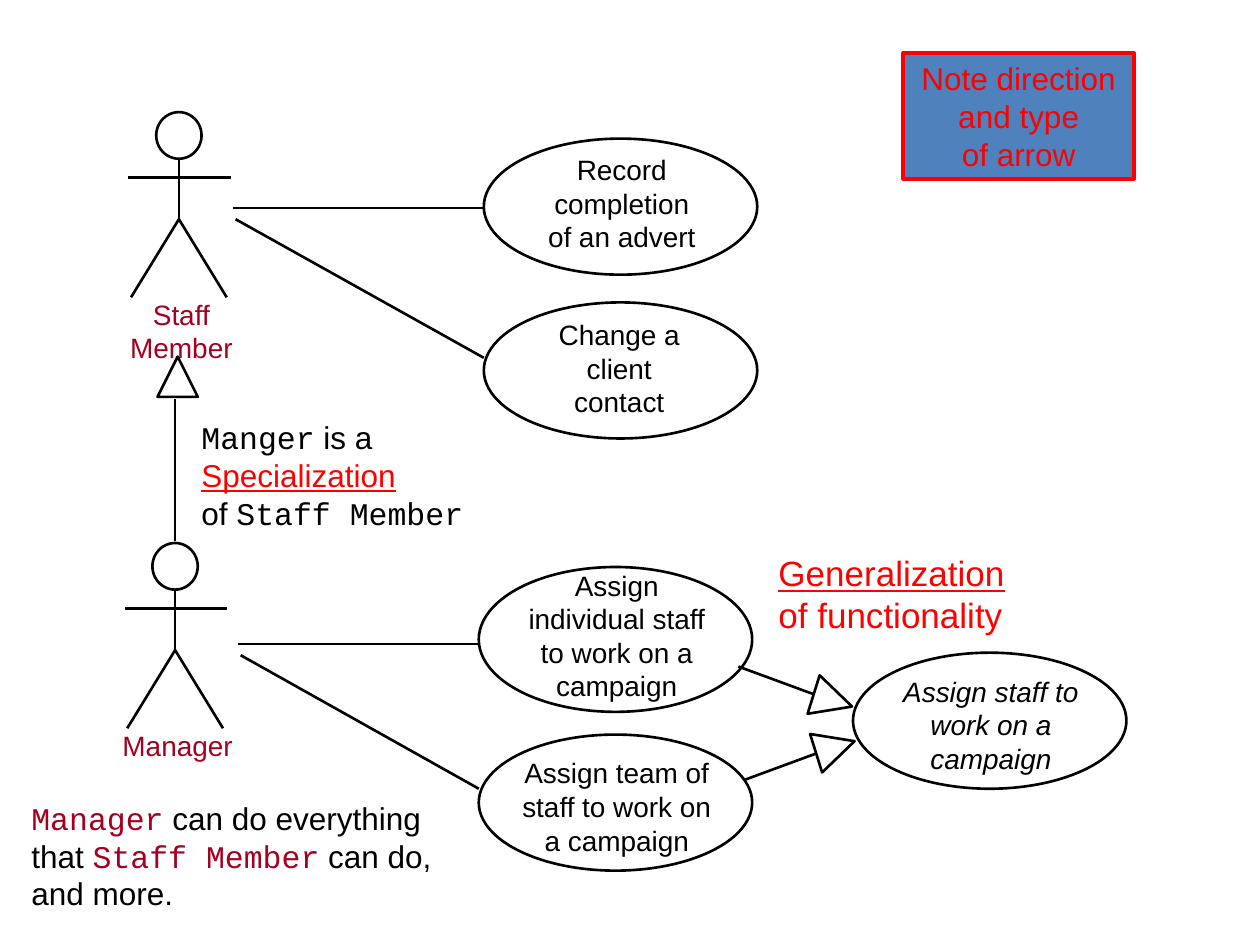
from lxml.etree import SubElement
from pptx import Presentation
from pptx.dml.color import RGBColor
from pptx.enum.shapes import MSO_CONNECTOR as CONN, MSO_SHAPE as SHAPE
from pptx.enum.text import MSO_ANCHOR as ANCHOR, MSO_AUTO_SIZE as AUTO, PP_ALIGN as ALIGN
from pptx.oxml.ns import qn
from pptx.util import Inches, Pt

BLACK = RGBColor(0x00, 0x00, 0x00)
WHITE = RGBColor(0xFF, 0xFF, 0xFF)
RED = RGBColor(0xFF, 0x00, 0x00)
MAROON = RGBColor(0xA5, 0x00, 0x21)
BLUE = RGBColor(0x4F, 0x81, 0xBD)
MONO = {"name": "Courier New"}
MONO_MAROON = {"name": "Courier New", "color": MAROON}
OVAL_W, OVAL_H = 2.17, 1.08
TIP = 0.32


def add_line(s, x1, y1, x2, y2):
    """Draw a plain black line without a shadow."""
    line = s.shapes.add_connector(CONN.STRAIGHT, Inches(x1), Inches(y1), Inches(x2), Inches(y2))
    line.line.color.rgb = BLACK
    line.line.width = Pt(1.5)
    SubElement(line._element.spPr, qn("a:effectLst"))


def add_figure(s, kind, x, y, w, h, fill=WHITE, color=BLACK, width=1.5, rotation=0):
    """Draw an outlined preset shape."""
    sp = s.shapes.add_shape(kind, Inches(x), Inches(y), Inches(w), Inches(h))
    sp.shadow.inherit = False
    sp.fill.solid()
    sp.fill.fore_color.rgb = fill
    sp.line.color.rgb = color
    sp.line.width = Pt(width)
    sp.rotation = rotation
    return sp


def add_runs(tf, paragraphs, align=ALIGN.LEFT, **base):
    """Write paragraphs of (text, format) runs; a vertical tab breaks the line."""
    for i, runs in enumerate(paragraphs):
        p = tf.paragraphs[0] if i == 0 else tf.add_paragraph()
        p.alignment = align
        for text, extra in runs:
            for j, part in enumerate(text.split("\v")):
                if j:
                    p.add_line_break()
                r = p.add_run()
                r.text = part
                values = {"name": "Arial", "color": BLACK, **base, **extra}
                r.font.color.rgb = values.pop("color")
                for key, value in values.items():
                    setattr(r.font, key, value)


def add_label(s, x, y, w, h, *lines, **fmt):
    """Add centred 16 point text in a box without margins."""
    tf = s.shapes.add_textbox(Inches(x), Inches(y), Inches(w), Inches(h)).text_frame
    tf.word_wrap = True
    for side in ("left", "top", "right", "bottom"):
        setattr(tf, f"margin_{side}", 0)
    add_runs(tf, [[(line, {})] for line in lines], ALIGN.CENTER, size=Pt(16), **fmt)


def add_note(s, x, y, w, h, paragraphs, wrap=False, **fmt):
    """Add a left-aligned remark that grows with its text."""
    tf = s.shapes.add_textbox(Inches(x), Inches(y), Inches(w), Inches(h)).text_frame
    tf.word_wrap = wrap
    tf.auto_size = AUTO.SHAPE_TO_FIT_TEXT
    add_runs(tf, paragraphs, **fmt)


def add_actor(s, x, y, name):
    """Draw a named stick figure, centred on x with its head top at y."""
    hip = y + 0.85
    add_line(s, x, hip, x, y + 0.35)
    add_line(s, x - 0.4, y + 0.52, x + 0.41, y + 0.52)
    for side in (-1, 1):
        add_line(s, x, hip, x + side * 0.38, y + 1.47)
    add_figure(s, SHAPE.OVAL, x - 0.18, y, 0.36, 0.37)
    add_label(s, x - 0.53, y + 1.47, 1.1, 0.5, name, color=MAROON)


def add_tip(s, x, y, rotation=0):
    """Draw a hollow generalization arrowhead."""
    add_figure(s, SHAPE.ISOSCELES_TRIANGLE, x, y, TIP, TIP, rotation=rotation)


def add_use_case(s, x, y, text_box, *lines, h=OVAL_H, **fmt):
    """Draw a use case oval and its text."""
    add_figure(s, SHAPE.OVAL, x, y, OVAL_W, h)
    add_label(s, *text_box, *lines, **fmt)


def main():
    """Build the use case diagram slide."""
    prs = Presentation()
    prs.slide_width, prs.slide_height = Inches(10), Inches(7.5)
    s = prs.slides.add_slide(prs.slide_layouts[6])

    add_line(s, 6.75, 5.88, 5.88, 6.2)
    add_tip(s, 6.47, 5.77, 72.6)
    for ends in ((1.85, 1.65, 3.93, 1.65), (1.87, 1.74, 3.84, 2.84), (1.39, 4.29, 1.39, 3.17),
                 (1.89, 5.11, 3.97, 5.11), (1.91, 5.2, 3.8, 6.26)):
        add_line(s, *ends)
    add_actor(s, 1.42, 0.89, "Staff\vMember")
    add_actor(s, 1.39, 4.31, "Manager")

    add_use_case(s, 3.84, 1.1, (4.12, 1.21, 1.63, 0.91), "Record completion", "of an advert")
    add_use_case(s, 3.84, 2.4, (4.2, 2.52, 1.43, 0.84), "Change a client", "contact")
    add_use_case(s, 3.8, 4.5, (4.08, 4.51, 1.63, 1.2),
                 "Assign individual staff to work on a campaign", h=1.15)
    add_use_case(s, 3.8, 5.83, (4.08, 6, 1.63, 0.98),
                 "Assign team of staff to work on a campaign")
    add_use_case(s, 6.77, 5.18, (7.05, 5.35, 1.63, 0.89),
                 "Assign staff to work on a campaign", italic=True)

    add_line(s, 6.73, 5.61, 5.86, 5.29)
    add_tip(s, 6.45, 5.4, 107.4)
    add_tip(s, 1.25, 2.83)

    add_note(s, 1.5, 3.27, 2.3, 1, [
        [("Manger", MONO), (" is a", {})],
        [("Specialization", {"color": RED, "underline": True})],
        [("of ", {}), ("Staff Member", MONO)]], size=Pt(18))
    add_note(s, 0.15, 6.29, 3.52, 1, [
        [("Manager", MONO_MAROON), (" can do everything", {})],
        [("that ", {}), ("Staff Member", MONO_MAROON), (" can do, and more.", {})]],
        wrap=True, size=Pt(18))
    add_note(s, 6.08, 4.33, 2.04, 0.77, [
        [("Generalization", {"underline": True})],
        [("of functionality", {})]], size=Pt(20), color=RED)

    box = add_figure(s, SHAPE.RECTANGLE, 7.17, 0.42, 1.83, 1, BLUE, RED, 2.25)
    tf = box.text_frame
    tf.word_wrap = False
    tf.vertical_anchor = ANCHOR.MIDDLE
    add_runs(tf, [[(line, {})] for line in ("Note direction", "and type", "of arrow")],
             ALIGN.CENTER, size=Pt(18), color=RED)
    prs.save("out.pptx")


if __name__ == "__main__":
    main()
